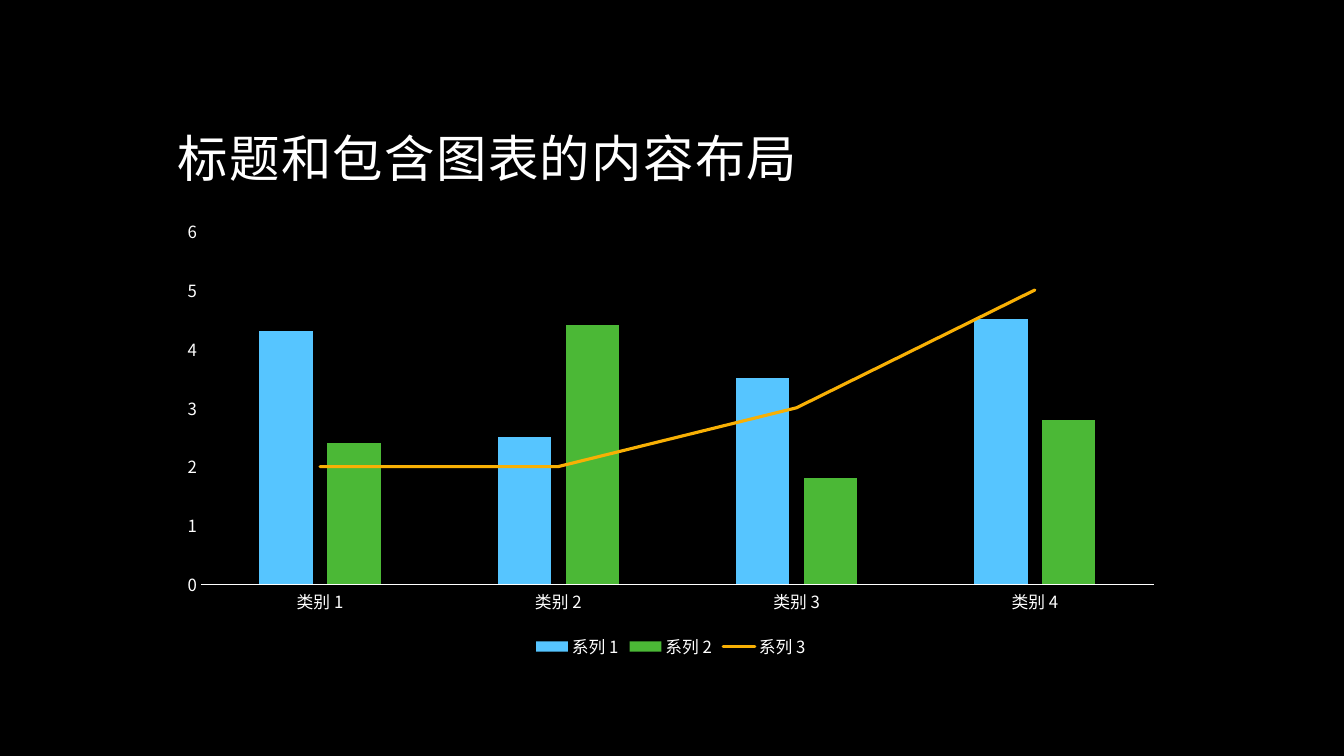
"""Build a dark slide with a title and a combined column and line chart."""
from collections import namedtuple
from dataclasses import dataclass

from lxml.etree import SubElement
from pptx import Presentation
from pptx.chart.data import CategoryChartData
from pptx.dml.color import RGBColor
from pptx.enum.chart import XL_CHART_TYPE, XL_LEGEND_POSITION, XL_MARKER_STYLE, XL_TICK_MARK
from pptx.enum.text import MSO_ANCHOR, MSO_AUTO_SIZE, PP_ALIGN
from pptx.oxml import parse_xml
from pptx.oxml.ns import nsdecls, qn
from pptx.util import Cm, Pt

Box = namedtuple("Box", "left top width height")


@dataclass(frozen=True)
class Theme:
    """Colours, typeface and type sizes of the slide."""

    background: RGBColor = RGBColor(0, 0, 0)
    text: RGBColor = RGBColor(255, 255, 255)
    columns: tuple = (RGBColor(0x56, 0xC5, 0xFF), RGBColor(0x4B, 0xB8, 0x36))
    trend: RGBColor = RGBColor(0xF8, 0xB0, 0x04)
    typeface: str = "Noto Sans CJK SC"
    title_size: Pt = Pt(36)
    label_size: Pt = Pt(12)


THEME = Theme()
TITLE = "标题和包含图表的内容布局"
CATEGORIES = ["类别 1", "类别 2", "类别 3", "类别 4"]
SERIES = {
    "系列 1": (4.3, 2.5, 3.5, 4.5),
    "系列 2": (2.4, 4.4, 1.8, 2.8),
    "系列 3": (2, 2, 3, 5),
}


def style_font(font, size):
    """Apply the theme typeface and text colour at the given size."""
    font.name = THEME.typeface
    font.size = size
    font.bold = False
    font.color.rgb = THEME.text


def place_title(page, box):
    """Move the title placeholder into the box and fill it."""
    title = page.shapes.title
    title.left, title.top, title.width, title.height = box
    frame = title.text_frame
    frame.text = TITLE
    frame.word_wrap = True
    frame.auto_size = MSO_AUTO_SIZE.NONE
    frame.vertical_anchor = MSO_ANCHOR.BOTTOM
    para = frame.paragraphs[0]
    para.alignment = PP_ALIGN.LEFT
    para.line_spacing = 0.9
    style_font(para.font, THEME.title_size)
    properties = para.runs[0].font._element
    properties.set("spc", "100")
    SubElement(properties, qn("a:ea")).set("typeface", THEME.typeface)


def turn_last_series_into_line(chart):
    """Move the last column series to a line plot on the same axes."""
    columns = chart.plots[0]._element
    series = columns.findall(qn("c:ser"))[-1]
    for column_option in series.findall(qn("c:invertIfNegative")):
        series.remove(column_option)
    lines = parse_xml(
        f'<c:lineChart {nsdecls("c")}><c:grouping val="standard"/>'
        '<c:varyColors val="0"/><c:marker val="1"/></c:lineChart>'
    )
    lines.insert(2, series)
    for axis_id in columns.findall(qn("c:axId")):
        SubElement(lines, qn("c:axId")).set("val", axis_id.get("val"))
    columns.addnext(lines)


def style_series(chart):
    """Colour the columns and the line."""
    columns, lines = chart.plots
    columns.vary_by_categories = False
    columns.gap_width = 219
    columns.overlap = -27
    for series, colour in zip(columns.series, THEME.columns):
        series.format.fill.solid()
        series.format.fill.fore_color.rgb = colour
    trend = lines.series[0]
    trend.smooth = False
    trend.marker.style = XL_MARKER_STYLE.NONE
    trend.format.line.color.rgb = THEME.trend
    trend.format.line.width = Pt(2.25)
    for outline in trend._element.findall(f'{qn("c:spPr")}/{qn("a:ln")}'):
        outline.set("cap", "rnd")


def style_axes(chart):
    """Format both axes without ticks or gridlines."""
    for axis in (chart.category_axis, chart.value_axis):
        axis.has_major_gridlines = False
        axis.major_tick_mark = axis.minor_tick_mark = XL_TICK_MARK.NONE
        style_font(axis.tick_labels.font, THEME.label_size)
    chart.category_axis.format.line.color.rgb = THEME.text
    chart.category_axis.format.line.width = Pt(0.75)
    values = chart.value_axis
    values.format.line.fill.background()
    values.minimum_scale, values.maximum_scale, values.major_unit = 0, 6, 1


def place_chart(page, box):
    """Add the combined chart with its legend inside the box."""
    data = CategoryChartData()
    data.categories = CATEGORIES
    for name, values in SERIES.items():
        data.add_series(name, values)
    chart = page.shapes.add_chart(XL_CHART_TYPE.COLUMN_CLUSTERED, *box, data).chart
    chart.has_title = False
    style_font(chart.font, THEME.label_size)
    turn_last_series_into_line(chart)
    style_series(chart)
    style_axes(chart)
    chart.has_legend = True
    chart.legend.position = XL_LEGEND_POSITION.BOTTOM
    chart.legend.include_in_layout = False
    style_font(chart.legend.font, THEME.label_size)


def build_chart_page(deck):
    """Add the page with its background, title and chart."""
    page = deck.slides.add_slide(deck.slide_layouts.get_by_name("Title Only"))
    page.background.fill.solid()
    page.background.fill.fore_color.rgb = THEME.background
    place_title(page, Box(Cm(4.22), Cm(1.07), Cm(25.4), Cm(3.81)))
    place_chart(page, Box(Cm(4.22), Cm(5.28), Cm(25.37), Cm(11.43)))


def main():
    """Create and save the deck."""
    deck = Presentation()
    deck.slide_width, deck.slide_height = Cm(33.87), Cm(19.05)
    build_chart_page(deck)
    deck.save("out.pptx")


if __name__ == "__main__":
    main()
